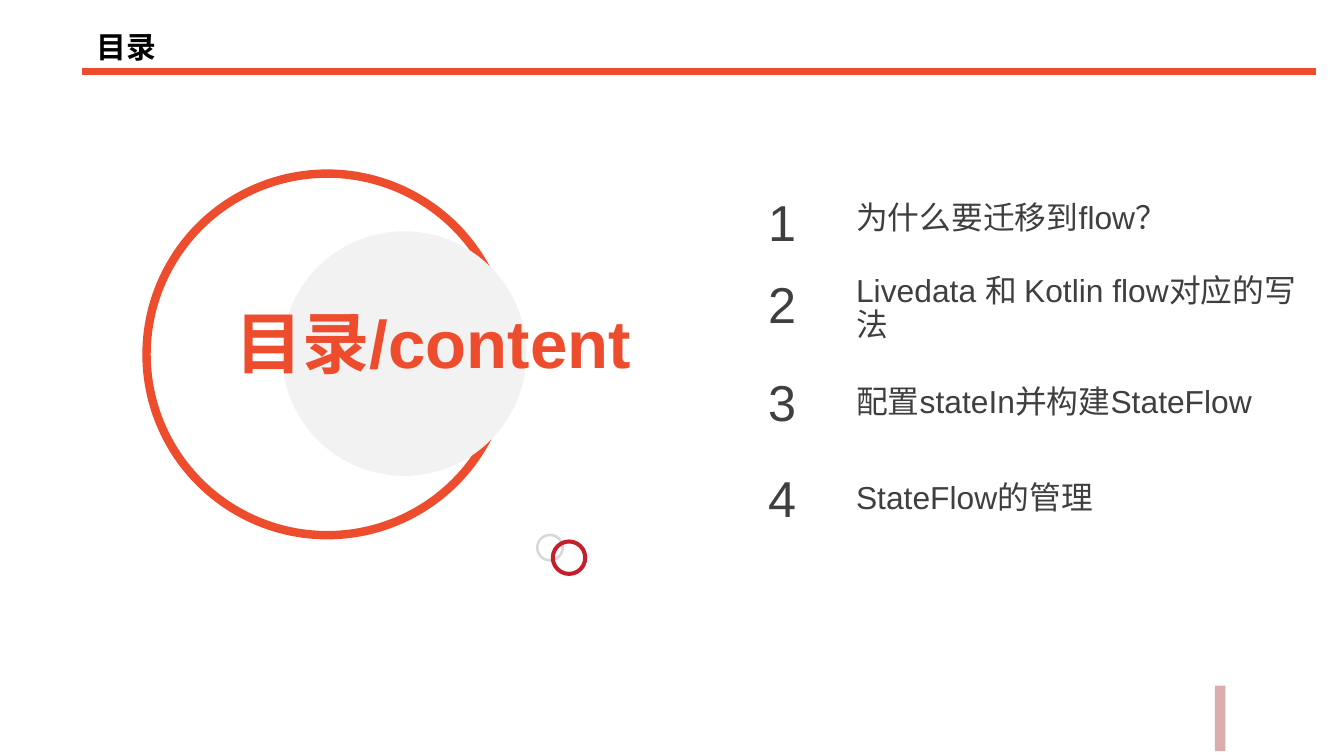
"""Build the contents slide: a ring motif on the left and four numbered topics on the right."""
from pptx import Presentation
from pptx.dml.color import RGBColor
from pptx.enum.shapes import MSO_CONNECTOR as Connector, MSO_SHAPE as Shape
from pptx.enum.text import MSO_ANCHOR as Anchor, MSO_AUTO_SIZE as AutoSize, PP_ALIGN as Align
from pptx.oxml.ns import qn
from pptx.util import Cm, Pt

HEADING = "目录"
BANNER = "目录/content"
TOPICS = [
    {"text": "为什么要迁移到flow？", "top": 3.48, "drop": 0.2, "spacing": 0.9},
    {"text": "Livedata 和 Kotlin flow对应的写法", "top": 5.03, "drop": 0.03, "spacing": 0.9},
    {"text": "配置stateIn并构建StateFlow", "top": 6.88, "drop": 0.2, "spacing": 1.0},
    {"text": "StateFlow的管理", "top": 8.69, "drop": 0.2, "spacing": 1.0},
]
THEME = {
    "font": "Arial",
    "accent": "EE4D2D", "ink": "3F3F3F", "black": "000000", "bar": "DAACAB",
    "small_ring": "D8D8D8", "red_ring": "C51F2D", "disc": "F2F2F2",
    "heading": 16, "banner": 36, "number": 27, "topic": 17,
}
DECORATIONS = [
    (Shape.OVAL, (2.77, 3.28, 6.83, 6.83), None, None),
    (Shape.RECTANGLE, (22.96, 12.95, 0.2, 1.24), "bar", None),
    (Shape.DONUT, (10.13, 10.08, 0.53, 0.53), "small_ring", 0.092),
    (Shape.DONUT, (10.41, 10.19, 0.69, 0.69), "red_ring", 0.112),
    (Shape.OVAL, (5.33, 4.37, 4.62, 4.62), "disc", None),
]
NUMBER_LEFT, TOPIC_LEFT = 14.27, 15.93


def color(name):
    return RGBColor.from_string(THEME[name])


def place(box, area):
    for name, value in zip(("left", "top", "width", "height"), area):
        setattr(box, name, Cm(value))


def write(box, text, size, ink, bold=False, align=Align.LEFT, spacing=1.0, inset=0.13):
    frame = box.text_frame
    frame_format = {
        "word_wrap": True, "auto_size": AutoSize.NONE, "vertical_anchor": Anchor.TOP,
        "margin_left": Cm(0.25), "margin_right": Cm(0.25),
        "margin_top": Cm(inset), "margin_bottom": Cm(inset),
    }
    for name, value in frame_format.items():
        setattr(frame, name, value)
    para = frame.paragraphs[0]
    for name, value in {"alignment": align, "line_spacing": spacing, "space_before": Pt(0)}.items():
        setattr(para, name, value)
    span = para.add_run()
    span.text = text
    for name, value in {"name": THEME["font"], "size": Pt(THEME[size]), "bold": bold}.items():
        setattr(span.font, name, value)
    span.font.color.rgb = color(ink)


def add_text(page, area, *content, **options):
    write(page.shapes.add_textbox(*map(Cm, area)), *content, **options)


def add_rule(page):
    rule = page.shapes.add_connector(Connector.STRAIGHT, Cm(1.55), Cm(1.35), Cm(24.87), Cm(1.35))
    rule.line.color.rgb = color("accent")
    rule.line.width = Pt(4)
    properties = rule._element.spPr
    properties.append(properties.makeelement(qn("a:effectLst"), {}))


def add_decoration(page, kind, area, fill, thickness):
    shape = page.shapes.add_shape(kind, *map(Cm, area))
    shape.shadow.inherit = False
    if fill:
        shape.fill.solid()
        shape.fill.fore_color.rgb = color(fill)
        shape.line.fill.background()
    else:
        shape.fill.background()
        shape.line.color.rgb = color("accent")
        shape.line.width = Pt(4.5)
    if thickness:
        shape.adjustments[0] = thickness


def main():
    deck = Presentation()
    deck.slide_width, deck.slide_height = Cm(25.4), Cm(14.28)
    page = deck.slides.add_slide(deck.slide_layouts[5])
    add_rule(page)
    for decoration in DECORATIONS:
        add_decoration(page, *decoration)
    add_text(page, (4.09, 5.56, 8.2, 1.8), BANNER, "banner", "accent", bold=True, align=Align.CENTER)
    title = page.shapes.title
    place(title, (1.57, 0.3, 13.74, 1.19))
    write(title, HEADING, "heading", "black", bold=True, inset=0.25)
    for number, topic in enumerate(TOPICS, 1):
        add_text(page, (NUMBER_LEFT, topic["top"], 0.86, 1.42), str(number), "number", "ink")
        add_text(page, (TOPIC_LEFT, topic["top"] + topic["drop"], 8.84, 1.0),
                 topic["text"], "topic", "ink", spacing=topic["spacing"])
    deck.save("out.pptx")


if __name__ == "__main__":
    main()
